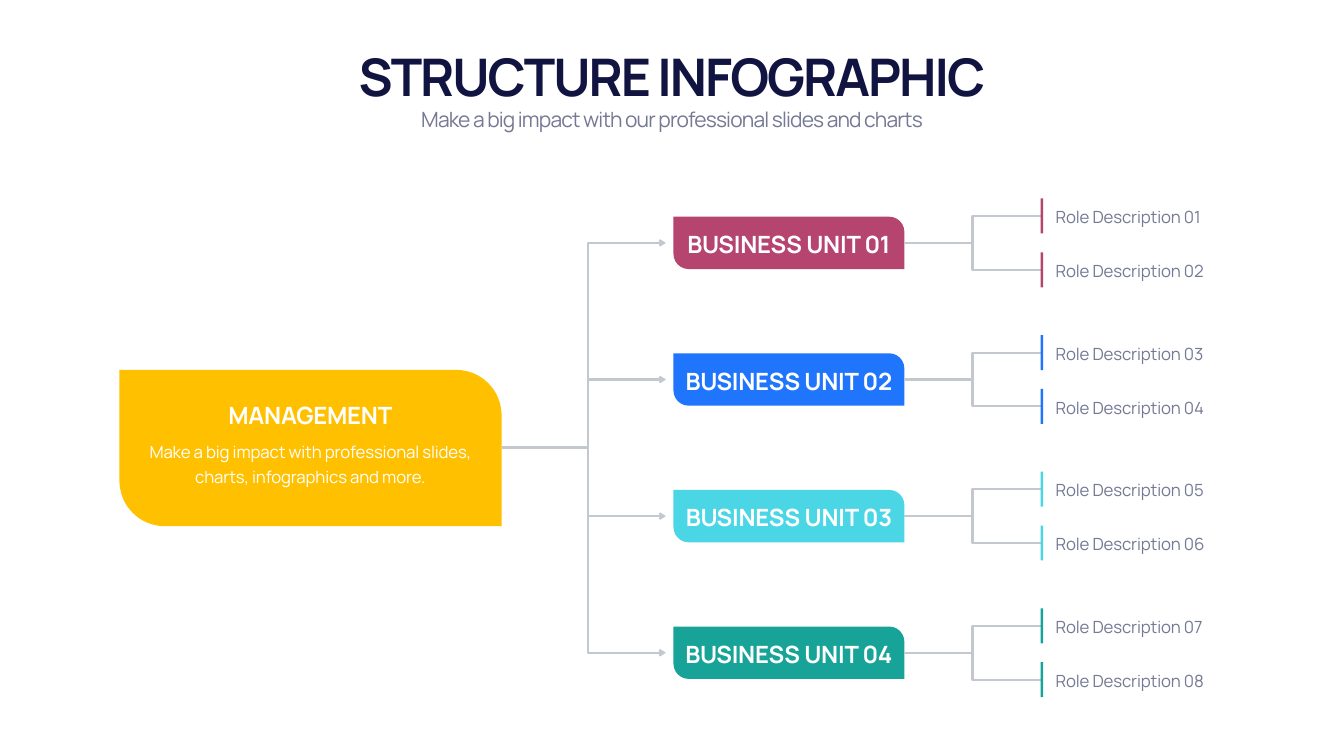
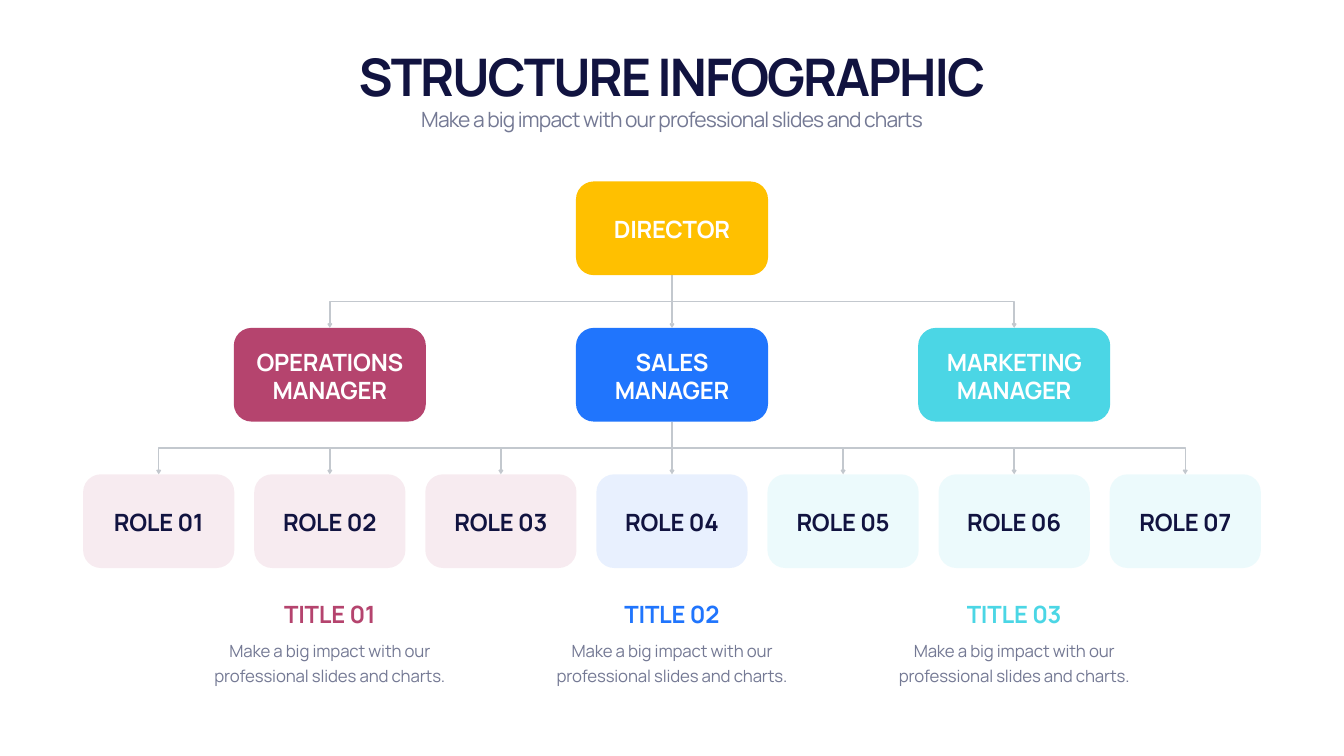
from dataclasses import dataclass

from lxml import etree
from pptx import Presentation
from pptx.dml.color import RGBColor
from pptx.enum.shapes import MSO_CONNECTOR, MSO_SHAPE
from pptx.enum.text import MSO_ANCHOR, MSO_AUTO_SIZE, PP_ALIGN
from pptx.oxml.ns import qn
from pptx.util import Inches, Pt

STRAIGHT = MSO_CONNECTOR.STRAIGHT
RECT = MSO_SHAPE.RECTANGLE
ROUNDED = MSO_SHAPE.ROUNDED_RECTANGLE
LEAF = MSO_SHAPE.ROUND_2_DIAG_RECTANGLE
TOP, MIDDLE, BOTTOM = MSO_ANCHOR.TOP, MSO_ANCHOR.MIDDLE, MSO_ANCHOR.BOTTOM
LEFT, CENTER = PP_ALIGN.LEFT, PP_ALIGN.CENTER
GROW = MSO_AUTO_SIZE.SHAPE_TO_FIT_TEXT

WIDTH, HEIGHT = Inches(26.66), Inches(15)
COLUMN, ROW = WIDTH / 100, HEIGHT / 100


@dataclass(frozen=True)
class Theme:
    font: str = "Manrope"
    navy: str = "111340"
    gray: str = "747994"
    white: str = "FFFFFF"
    rule: str = "C3C8CE"
    yellow: str = "FFC000"
    berry: str = "B5446E"
    blue: str = "2075FD"
    cyan: str = "4BD6E5"
    teal: str = "17A398"
    title_size: int = 74
    subtitle_size: int = 30
    heading_size: int = 34
    body_size: int = 24
    body_leading: int = 36


THEME = Theme()


def write(shape, text, size, color, bold=False, spacing=-0.3, align=CENTER,
          anchor=MIDDLE, leading=None):
    frame = shape.text_frame
    frame.word_wrap = True
    frame.auto_size = GROW
    frame.vertical_anchor = anchor
    paragraph = frame.paragraphs[0]
    paragraph.alignment = align
    paragraph.space_before = Pt(0)
    paragraph.line_spacing = Pt(leading) if leading else 1.0
    run = paragraph.add_run()
    run.text = text
    run.font.name = THEME.font
    run.font.size = Pt(size)
    run.font.bold = bold
    run.font.color.rgb = RGBColor.from_string(color)
    run.font._element.set("spc", str(round(spacing * 100)))


class Board:
    def __init__(self, deck, theme, line_width):
        self.theme = theme
        self.line_width = line_width
        self.slide = deck.slides.add_slide(deck.slide_layouts[0])
        self.shapes = self.slide.shapes

    def box(self, x, y, w, h):
        return [round(v) for v in (x * COLUMN, y * ROW, w * COLUMN, h * ROW)]

    def header(self, title, subtitle):
        t = self.theme
        heading, tagline = self.slide.placeholders
        for part, y, h in ((heading, 5.47, 9), (tagline, 13.8, 4.07)):
            part.left, part.top, part.width, part.height = self.box(6.25, y, 87.5, h)
        write(heading, title, t.title_size, t.navy, bold=True, spacing=-2.9, anchor=BOTTOM)
        write(tagline, subtitle, t.subtitle_size, t.gray, spacing=-1.2, anchor=TOP)

    def block(self, kind, x, y, w, h, color, adjust=(), opacity=None):
        shape = self.shapes.add_shape(kind, *self.box(x, y, w, h))
        shape.shadow.inherit = False
        shape.line.fill.background()
        shape.fill.solid()
        shape.fill.fore_color.rgb = RGBColor.from_string(color)
        for i, value in enumerate(adjust):
            shape.adjustments[i] = value
        if opacity:
            tint = shape.element.spPr.find(qn("a:solidFill"))[0]
            etree.SubElement(tint, qn("a:alpha")).set("val", str(opacity * 1000))

    def stroke(self, shape, ends):
        shape.line.color.rgb = RGBColor.from_string(self.theme.rule)
        shape.line.width = Pt(self.line_width)
        for end in ends:
            etree.SubElement(shape.line._ln, qn(f"a:{end}")).set("type", "arrow")

    def line(self, x1, y1, x2, y2, arrow=False):
        start, end = self.box(x1, y1, 0, 0)[:2], self.box(x2, y2, 0, 0)[:2]
        connector = self.shapes.add_connector(STRAIGHT, *start, *end)
        self.stroke(connector, ["tailEnd"] if arrow else [])
        etree.SubElement(connector._element.spPr, qn("a:effectLst"))

    def bracket(self, points, arrows=False):
        first, *rest = [self.box(x, y, 0, 0)[:2] for x, y in points]
        builder = self.shapes.build_freeform(*first)
        builder.add_line_segments(rest, close=False)
        outline = builder.convert_to_shape()
        outline.shadow.inherit = False
        outline.fill.background()
        self.stroke(outline, ["headEnd", "tailEnd"] if arrows else [])

    def label(self, text, x, y, w, h, **style):
        write(self.shapes.add_textbox(*self.box(x, y, w, h)), text, **style)

    def heading(self, text, x, y, w, h=4.47, color=THEME.white, anchor=MIDDLE):
        self.label(text, x, y, w, h, size=self.theme.heading_size, color=color,
                   bold=True, anchor=anchor)

    def body(self, text, x, y, w, h=7.27, color=THEME.gray, align=CENTER, anchor=TOP):
        self.label(text, x, y, w, h, size=self.theme.body_size, color=color,
                   spacing=-0.2, align=align, anchor=anchor,
                   leading=self.theme.body_leading)


def business_units(board):
    t = board.theme
    trunk, arrow_tip, unit_x, unit_w, unit_h = 43.74, 49.55, 50.11, 17.18, 6.93
    fork, fork_end, fork_reach, tick_h = 72.36, 77.53, 3.56, 4.63
    colors = [t.berry, t.blue, t.cyan, t.teal]
    centers = [32.13 + 18.07 * i for i in range(len(colors))]
    first, *inner, last = centers

    board.bracket([(arrow_tip, first), (trunk, first), (trunk, last), (arrow_tip, last)],
                  arrows=True)
    for center in inner:
        board.line(trunk, center, arrow_tip, center, arrow=True)
    board.line(37.32, 59.2, trunk, 59.2)
    board.block(LEAF, 8.89, 48.93, 28.43, 20.67, t.yellow, (0, 0.29))
    board.heading("MANAGEMENT", 10.43, 52.67, 25.32, anchor=BOTTOM)
    board.body("Make a big impact with professional slides, charts, infographics and more.",
               10.43, 57.47, 25.32, color=t.white)

    for i, (color, center) in enumerate(zip(colors, centers)):
        roles = [center - fork_reach, center + fork_reach]
        board.block(LEAF, unit_x, center - unit_h / 2, unit_w, unit_h, color, (0, 0.29))
        board.heading(f"BUSINESS UNIT {i + 1:02}", 50.19, center - 2.06, 17.03)
        board.line(unit_x + unit_w, center, fork, center)
        board.bracket([(fork_end, roles[1]), (fork, roles[1]),
                       (fork, roles[0]), (fork_end, roles[0])])
        for number, y in enumerate(roles, start=2 * i + 1):
            board.block(RECT, 77.42, y - tick_h / 2, 0.19, tick_h, color)
            board.body(f"Role Description {number:02}", 78.17, y - 2.13, 14.63, 3.87,
                       align=LEFT, anchor=MIDDLE)


def reporting_lines(board):
    t = board.theme
    middle, role_pitch, manager_pitch = 50, 12.73, 25.46
    card_h, card_w, role_w = 12.4, 14.29, 11.25
    director_y, manager_y, role_y = [24 + 19.37 * i for i in range(3)]
    managers = [("OPERATIONS MANAGER", t.berry), ("SALES MANAGER", t.blue),
                ("MARKETING MANAGER", t.cyan)]
    manager_xs = [middle + manager_pitch * (i - 1) for i in range(3)]
    role_xs = [middle + role_pitch * (i - 3) for i in range(7)]
    role_colors = [t.berry] * 3 + [t.blue] + [t.cyan] * 3

    def card(text, x, y, w, text_w, color, text_h=4.47, ink=t.white, opacity=None):
        board.block(ROUNDED, x - w / 2, y, w, card_h, color, (0.19,), opacity)
        board.heading(text, x - text_w / 2, y + (card_h - text_h) / 2 + 0.15, text_w,
                      text_h, color=ink)

    def branches(parent_y, child_y, xs):
        bus = (parent_y + card_h + child_y) / 2
        first, *inner, last = xs
        board.bracket([(last, child_y), (last, bus), (first, bus), (first, child_y)],
                      arrows=True)
        for x in inner:
            start = parent_y + card_h if x == middle else bus
            board.line(x, start, x, child_y, arrow=True)

    branches(director_y, manager_y, manager_xs)
    branches(manager_y, role_y, role_xs)
    card("DIRECTOR", middle, director_y, card_w, 12.79, t.yellow)
    for i, (x, (name, color)) in enumerate(zip(manager_xs, managers), start=1):
        card(name, x, manager_y, card_w, 12.79, color, text_h=8.33)
        caption_w = 19.73
        board.heading(f"TITLE {i:02}", x - caption_w / 2, 79, caption_w, color=color,
                      anchor=BOTTOM)
        board.body("Make a big impact with our professional slides and charts.",
                   x - caption_w / 2, 83.73, caption_w)
    for i, (x, color) in enumerate(zip(role_xs, role_colors), start=1):
        card(f"ROLE {i:02}", x, role_y, role_w, 10.43, color, ink=t.navy, opacity=10)


def main():
    deck = Presentation()
    deck.slide_width, deck.slide_height = WIDTH, HEIGHT
    for draw, line_width in ((business_units, 3), (reporting_lines, 2)):
        board = Board(deck, THEME, line_width)
        board.header("STRUCTURE INFOGRAPHIC",
                     "Make a big impact with our professional slides and charts")
        draw(board)
    deck.save("out.pptx")


if __name__ == "__main__":
    main()
